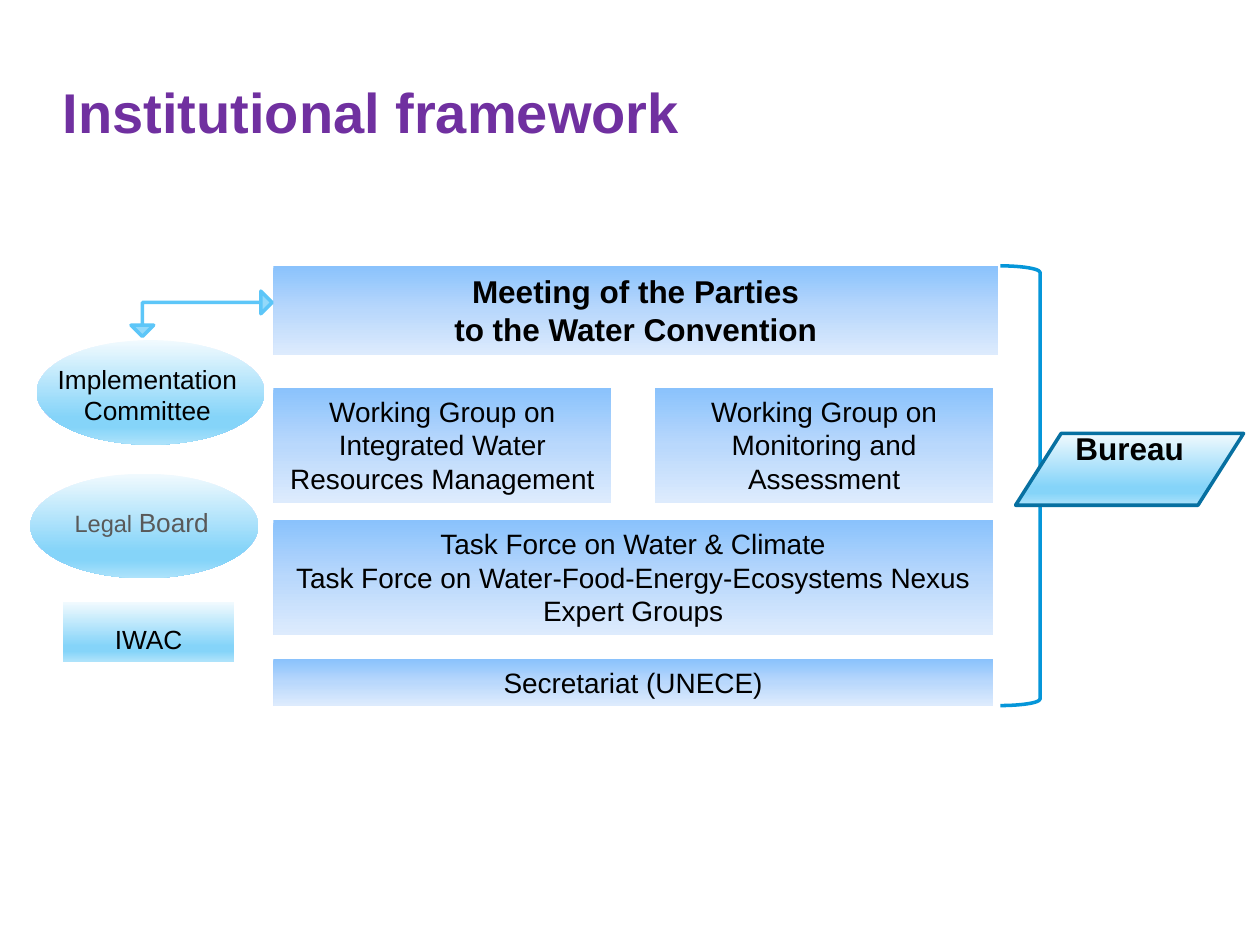
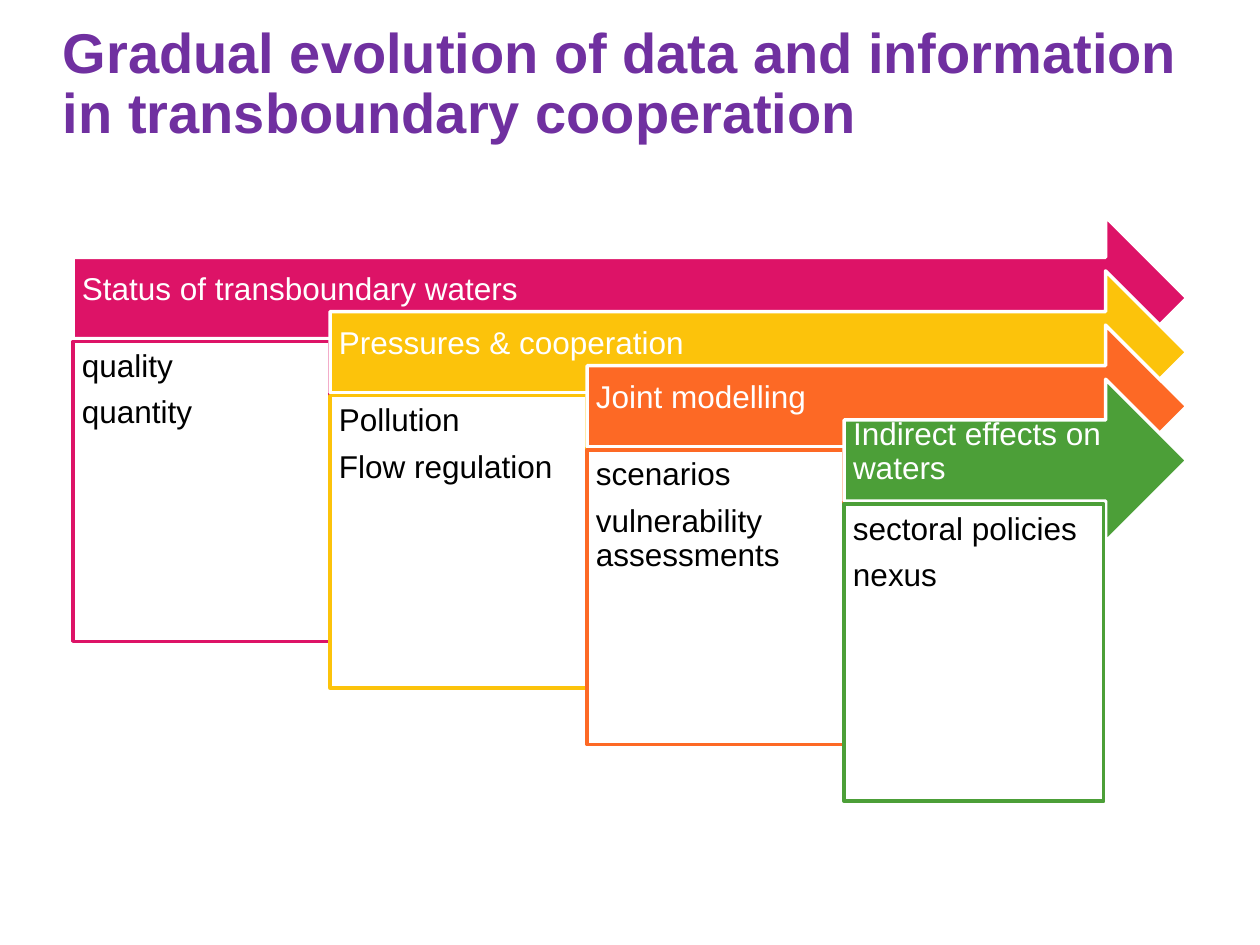
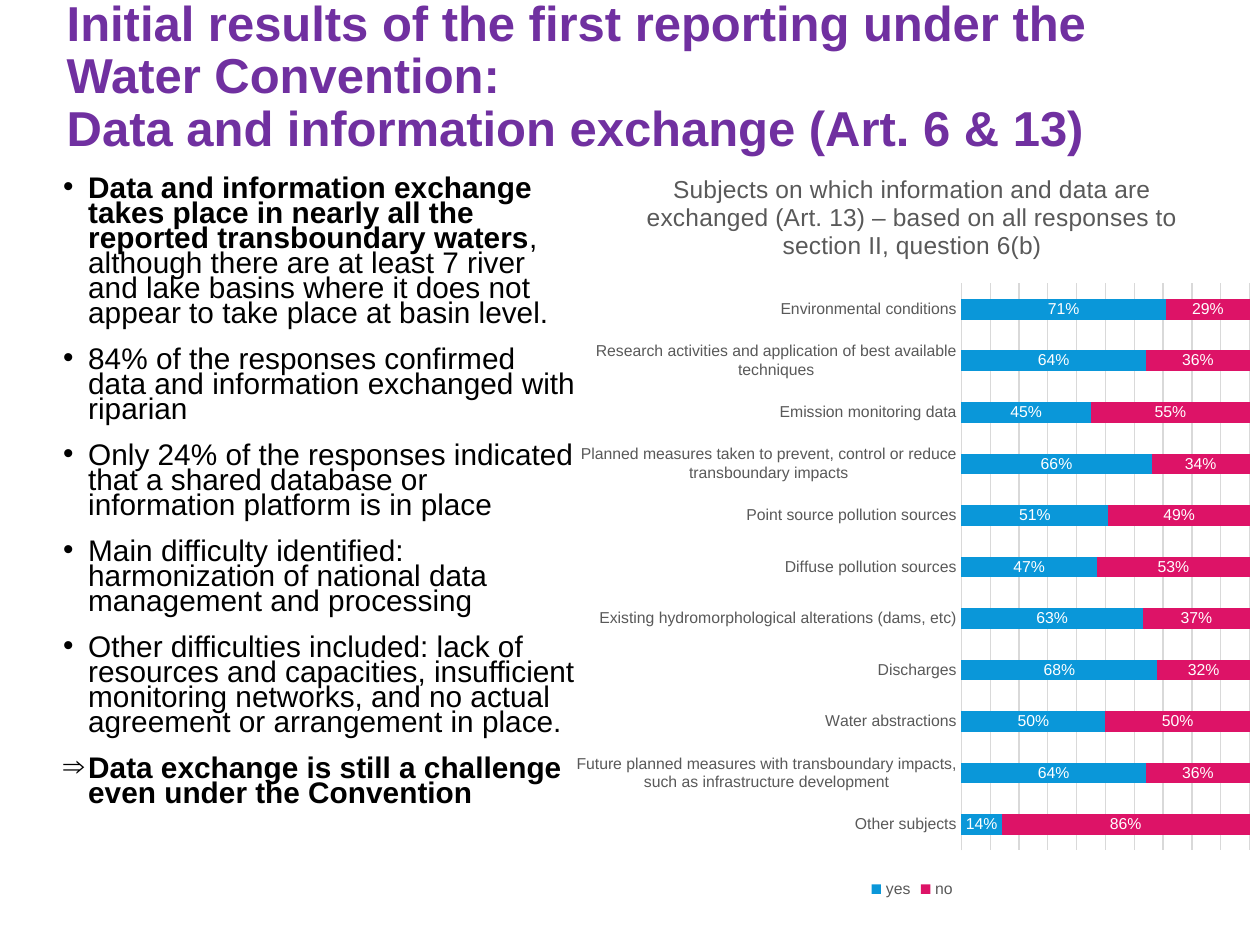
from lxml import etree
from pptx import Presentation
from pptx import util as u
from pptx.chart.data import CategoryChartData
from pptx.dml.color import RGBColor
from pptx.enum import chart as ch, shapes, text
from pptx.oxml import parse_xml
from pptx.oxml.ns import nsdecls, qn

FONT = "Arial"
PURPLE = RGBColor(0x70, 0x30, 0xA0)
BLACK = RGBColor(0, 0, 0)
WHITE = RGBColor(255, 255, 255)
GREY = RGBColor(0x59, 0x59, 0x59)
GRID = RGBColor(0xD9, 0xD9, 0xD9)
BRACE = RGBColor(0x05, 0x96, 0xD9)
EDGE = RGBColor(0x07, 0x70, 0xA1)
ARROW_FILL = RGBColor(0x93, 0xD9, 0xFA)
ARROW_LINE = RGBColor(0x5D, 0xC6, 0xF8)
PINK = RGBColor(0xDD, 0x13, 0x67)
YELLOW = RGBColor(0xFC, 0xC3, 0x0B)
ORANGE = RGBColor(0xFD, 0x69, 0x25)
GREEN = RGBColor(0x4C, 0x9F, 0x38)
BLUE = RGBColor(0x0A, 0x97, 0xD9)
SOFT_BLUE = ((0, "8AC2FC"), (50, "B9D8FC"), (100, "DDEBFD"))
SKY = ((0, "F1FAFE"), (74, "85D4F9"), (83, "85D4F9"), (100, "AEE3FB"))

SHAPE = shapes.MSO_SHAPE
CENTER, LEFT = text.PP_ALIGN.CENTER, text.PP_ALIGN.LEFT
TOP, MIDDLE, BOTTOM = text.MSO_ANCHOR.TOP, text.MSO_ANCHOR.MIDDLE, text.MSO_ANCHOR.BOTTOM
INSETS = (0.1, 0.05, 0.1, 0.05)
NO_INSETS = (0, 0, 0, 0)

BODIES = [
    ((2.17, 2.11, 5.75, 0.71), ["Meeting of the Parties\vto the Water Convention"], 18, True),
    ((2.17, 3.08, 2.68, 0.91), ["Working Group on Integrated Water Resources Management"], 16, False),
    ((5.2, 3.08, 2.68, 0.91), ["Working Group on Monitoring and Assessment"], 16, False),
    ((2.17, 4.13, 5.71, 0.91), ["Task Force on Water & Climate",
                                "Task Force on Water-Food-Energy-Ecosystems Nexus",
                                "Expert Groups"], 16, False),
    ((2.17, 5.23, 5.71, 0.37), ["Secretariat (UNECE)"], 16, False),
]
ADVISORY = [
    ((0.29, 2.7, 1.81, 0.83), (0.09, 2.83, 2.16, 0.61),
     ["Implementation Committee"], BLACK),
    ((0.24, 3.76, 1.81, 0.83), (0.2, 3.97, 1.85, 0.35),
     [[("Legal ", {"size": 13.5}), ("Board", {})]], GREY),
]
STAGES = [
    ("Status of transboundary waters", ["quality", "quantity"], PINK, 2.04, 2.38),
    ("Pressures & cooperation", ["Pollution", "Flow regulation"], YELLOW, 2.04, 2.32),
    ("Joint modelling", ["scenarios", "vulnerability assessments"], ORANGE, 2.04, 2.34),
    ("Indirect effects on waters", ["sectoral policies", "nexus"], GREEN, 2.06, 2.36),
]
FINDINGS = [
    ("•", [("Data and information exchange takes place in nearly all the reported "
            "transboundary waters", {"bold": True}),
           (", although there are at least 7 river and lake basins where it does not "
            "appear to take place at basin level.", {})]),
    ("•", "84% of the responses confirmed data and information exchanged with riparian"),
    ("•", "Only 24% of the responses indicated that a shared database or information "
          "platform is in place"),
    ("•", "Main difficulty identified: harmonization of national data management and processing"),
    ("•", "Other difficulties included: lack of resources and capacities, insufficient "
          "monitoring networks, and no actual agreement or arrangement in place."),
    ("⇒", [("Data exchange is still a challenge even under the Convention", {"bold": True})]),
]
CHART_TITLE = ("Subjects on which information and data are exchanged (Art. 13) – "
               "based on all responses to section II, question 6(b)")
YES_SHARES = [
    ("Environmental conditions", 0.71),
    ("Research activities and application of best available techniques", 0.64),
    ("Emission monitoring data", 0.45),
    ("Planned measures taken to prevent, control or reduce transboundary impacts", 0.66),
    ("Point source pollution sources", 0.51),
    ("Diffuse pollution sources", 0.47),
    ("Existing hydromorphological alterations (dams, etc)", 0.63),
    ("Discharges", 0.68),
    ("Water abstractions", 0.5),
    ("Future planned measures with transboundary impacts, such as infrastructure development", 0.64),
    ("Other subjects", 0.14),
]
PLOT_LAYOUT = {"x": 0.57, "y": 0.18, "w": 0.41, "h": 0.75}


def style(font, size, color, bold=False):
    font.name, font.size, font.bold = FONT, u.Pt(size), bold
    font.color.rgb = color


def write(sp, paras, size, color=BLACK, bold=False, align=CENTER, anchor=TOP,
          insets=INSETS, spacing=None, after=None):
    tf = sp.text_frame
    tf.word_wrap = True
    tf.vertical_anchor = anchor
    tf.margin_left, tf.margin_top, tf.margin_right, tf.margin_bottom = map(u.Inches, insets)
    for i, para in enumerate(paras):
        p = tf.paragraphs[0] if i == 0 else tf.add_paragraph()
        p.alignment = align
        if spacing:
            p.line_spacing = spacing
        if after:
            p.space_after = u.Pt(after)
        pieces = [(para, {})] if isinstance(para, str) else para
        p.text = pieces[0][0]
        for piece, _ in pieces[1:]:
            p.add_run().text = piece
        formats = [pieces[0][1]] * len(p.runs) if len(pieces) == 1 else [f for _, f in pieces]
        for r, extra in zip(p.runs, formats):
            style(r.font, **{"size": size, "color": color, "bold": bold, **extra})


def add_text(s, at, paras, size, **options):
    sp = s.shapes.add_textbox(*map(u.Inches, at))
    write(sp, paras, size, **options)
    return sp


def add_box(s, kind, at, fill=None, line=None):
    sp = s.shapes.add_shape(kind, *map(u.Inches, at))
    sp.shadow.inherit = False
    if fill is None:
        sp.fill.background()
    elif isinstance(fill, RGBColor):
        sp.fill.solid()
        sp.fill.fore_color.rgb = fill
    else:
        sp.fill.gradient()
        sp.fill.gradient_angle = 270
        stops = sp._element.spPr.find(qn("a:gradFill")).find(qn("a:gsLst"))
        for old in list(stops):
            stops.remove(old)
        for position, value in fill:
            stop = etree.SubElement(stops, qn("a:gs"), pos=str(position * 1000))
            etree.SubElement(stop, qn("a:srgbClr"), val=value)
    if line is None:
        sp.line.fill.background()
    else:
        sp.line.color.rgb = line
        sp.line.width = u.Pt(2)
    return sp


def add_slide(prs, title, size=32, left=0.5, top=0.33):
    s = prs.slides.add_slide(prs.slide_layouts[6])
    add_text(s, (left, top, 9, 0.83), [title], size, color=PURPLE, bold=True,
             align=LEFT, anchor=BOTTOM, insets=NO_INSETS, spacing=0.9)
    return s


def framework_slide(prs):
    s = add_slide(prs, "Institutional framework")
    add_box(s, SHAPE.RIGHT_BRACE, (7.94, 2.11, 0.63, 3.49), line=BRACE)
    for at, paras, size, bold in BODIES:
        write(add_box(s, SHAPE.RECTANGLE, at, SOFT_BLUE), paras, size, bold=bold)
    for oval_at, text_at, paras, color in ADVISORY:
        add_box(s, SHAPE.OVAL, oval_at, SKY)
        add_text(s, text_at, paras, 15, color=color)
    add_box(s, SHAPE.FLOWCHART_DATA, (8.06, 3.44, 1.81, 0.57), SKY, EDGE)
    add_text(s, (8.02, 3.36, 1.89, 0.4), ["Bureau"], 18, bold=True)
    arrow = add_box(s, SHAPE.LEFT_UP_ARROW, (1.04, 2.31, 1.12, 0.36), ARROW_FILL, ARROW_LINE)
    arrow.rotation = 180
    for i, value in enumerate((0, 0.25, 0.25)):
        arrow.adjustments[i] = value
    iwac = add_box(s, SHAPE.RECTANGLE, (0.5, 4.78, 1.36, 0.47), SKY)
    write(iwac, ["IWAC"], 15, anchor=BOTTOM)


def evolution_slide(prs):
    s = add_slide(prs, "Gradual evolution of data and information in transboundary cooperation")
    left, top, right = 0.58, 1.72, 9.42
    step_x, step_y, box_drop = 2.04, 0.43, 0.99
    for i, (heading, items, color, width, height) in enumerate(STAGES):
        x, y = left + i * step_x, top + i * step_y
        arrow = add_box(s, SHAPE.RIGHT_ARROW, (x, y, right - x, 1.29), color, WHITE)
        write(arrow, [heading], 18, color=WHITE, align=LEFT, anchor=MIDDLE,
              insets=(0.07, 0.07, 0.28, 0.2), spacing=0.9)
        box = add_box(s, SHAPE.RECTANGLE, (x, y + box_drop, width, height), WHITE, color)
        write(box, items, 18, align=LEFT, insets=(0.07,) * 4, spacing=0.9, after=7)


def add_findings(s):
    sp = add_text(s, (0.5, 1.42, 4.11, 5.56), [para for _, para in FINDINGS], 17,
                  align=LEFT, insets=NO_INSETS, spacing=0.7)
    for i, (p, (mark, _)) in enumerate(zip(sp.text_frame.paragraphs, FINDINGS)):
        if i:
            p.space_before = u.Pt(12)
        pPr = p._p.get_or_add_pPr()
        pPr.set("marL", str(u.Inches(0.2)))
        pPr.set("indent", str(-u.Inches(0.2)))
        color = etree.SubElement(pPr, qn("a:buClr"))
        etree.SubElement(color, qn("a:srgbClr"), val=str(BLACK))
        etree.SubElement(pPr, qn("a:buFont"), typeface=FONT)
        etree.SubElement(pPr, qn("a:buChar"), char=mark)


def add_exchange_chart(s):
    data = CategoryChartData(number_format="0%")
    data.categories = [name for name, _ in YES_SHARES]
    data.add_series("yes", [share for _, share in YES_SHARES])
    data.add_series("no", [round(1 - share, 2) for _, share in YES_SHARES])
    chart = s.shapes.add_chart(ch.XL_CHART_TYPE.BAR_STACKED_100,
                               *map(u.Inches, (4.45, 1.17, 5.58, 6)), data).chart
    style(chart.font, 10, BLACK)
    chart.has_title = True
    chart.chart_title.include_in_layout = False
    tf = chart.chart_title.text_frame
    tf.text = CHART_TITLE
    style(tf.paragraphs[0].runs[0].font, 14, GREY)
    chart.has_legend = True
    chart.legend.position = ch.XL_LEGEND_POSITION.BOTTOM
    chart.legend.include_in_layout = False
    style(chart.legend.font, 9, GREY)

    cat = chart.category_axis
    cat.reverse_order = True
    cat.major_tick_mark = cat.minor_tick_mark = ch.XL_TICK_MARK.NONE
    style(cat.tick_labels.font, 9, GREY)
    val = chart.value_axis
    val.minimum_scale, val.maximum_scale, val.major_unit = 0, 1, 0.1
    val.has_major_gridlines = True
    val.visible = False
    for line in (cat.format.line, val.major_gridlines.format.line):
        line.color.rgb = GRID
        line.width = u.Pt(0.75)

    plot = chart.plots[0]
    plot.gap_width, plot.overlap, plot.vary_by_categories = 150, 100, False
    for series, color in zip(plot.series, (BLUE, PINK)):
        series.format.fill.solid()
        series.format.fill.fore_color.rgb = color
        labels = series.data_labels
        labels.show_value = True
        labels.number_format, labels.number_format_is_linked = "0%", False
        labels.position = ch.XL_LABEL_POSITION.CENTER
        style(labels.font, 9, WHITE)

    area = chart._chartSpace.find(".//" + qn("c:plotArea"))
    for old in area.findall(qn("c:layout")):
        area.remove(old)
    parts = '<c:layoutTarget val="inner"/><c:xMode val="edge"/><c:yMode val="edge"/>'
    parts += "".join(f'<c:{key} val="{value}"/>' for key, value in PLOT_LAYOUT.items())
    area.insert(0, parse_xml(f'<c:layout {nsdecls("c")}><c:manualLayout>{parts}'
                             '</c:manualLayout></c:layout>'))


def reporting_slide(prs):
    s = add_slide(prs, "Initial results of the first reporting under the Water Convention:\v"
                       "Data and information exchange (Art. 6 & 13)", 28, 0.53, 0.42)
    add_findings(s)
    add_exchange_chart(s)


def main():
    prs = Presentation()
    prs.slide_width, prs.slide_height = u.Inches(10), u.Inches(7.5)
    framework_slide(prs)
    evolution_slide(prs)
    reporting_slide(prs)
    prs.save("out.pptx")


if __name__ == "__main__":
    main()
